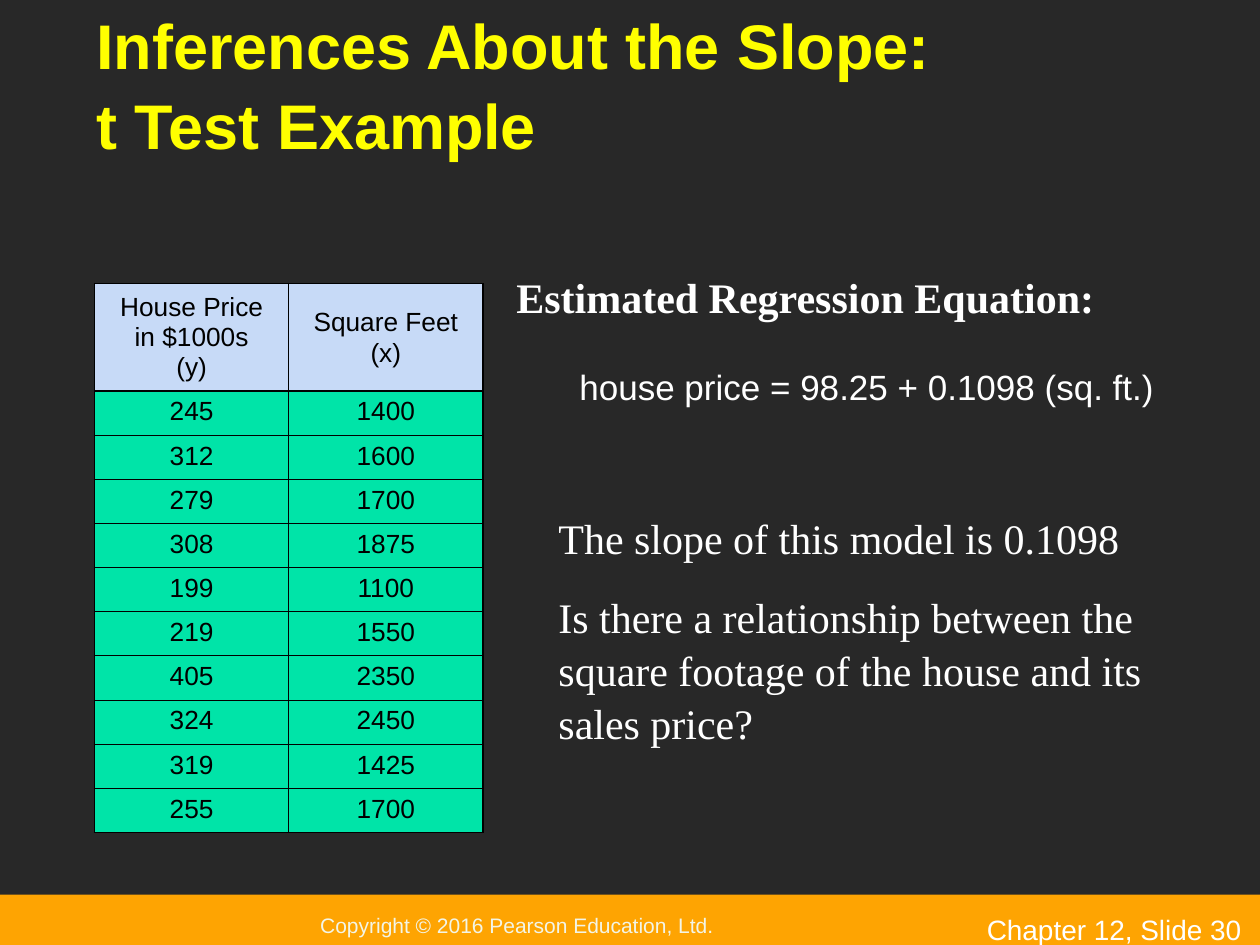
import pptx
import pptx.dml.color
import pptx.enum.shapes
import pptx.enum.text
import pptx.oxml
import pptx.oxml.ns
import pptx.util

RGBColor = pptx.dml.color.RGBColor
Pt = pptx.util.Pt
ANCHOR = pptx.enum.text.MSO_ANCHOR

CHARCOAL = RGBColor(0x28, 0x28, 0x28)
ORANGE = RGBColor(0xFE, 0xA4, 0x02)
CREAM = RGBColor(0xF3, 0xF5, 0xE7)
WHITE = RGBColor(0xFF, 0xFF, 0xFF)
YELLOW = RGBColor(0xFF, 0xFF, 0x00)
BLACK = RGBColor(0x00, 0x00, 0x00)
PALE_BLUE = RGBColor(0xC7, 0xDA, 0xF7)
GREEN = RGBColor(0x00, 0xE4, 0xA8)

SANS, SERIF = "Arial", "Times New Roman"
UNIT = pptx.util.Inches(1) // 12  # the page is 120 columns by 90 rows

deck = pptx.Presentation()
deck.slide_width, deck.slide_height = 120 * UNIT, 90 * UNIT
page = deck.slides.add_slide(deck.slide_layouts[6])
page.background.fill.solid()
page.background.fill.fore_color.rgb = CHARCOAL


def write(frame, paragraphs, size, face, color, bold=False, gap=0, spacing=1.05):
    """Fill a text frame; a newline inside a paragraph becomes a line break."""
    frame.word_wrap = True
    for number, text in enumerate(paragraphs):
        para = frame.add_paragraph() if number else frame.paragraphs[0]
        para.line_spacing = spacing
        if number:
            para.space_before = Pt(gap)
        for row, line in enumerate(text.split("\n")):
            if row:
                para.add_line_break()
            span = para.add_run()
            span.text = line
            span.font.size, span.font.name = Pt(size), face
            span.font.bold, span.font.color.rgb = bold, color


def draw_border(cell, side, points):
    """Add one black edge; call before the cell's fill is set, as the schema orders them."""
    line = pptx.oxml.parse_xml(
        f'<a:{side} {pptx.oxml.ns.nsdecls("a")} w="{Pt(points)}">'
        f'<a:solidFill><a:srgbClr val="{BLACK}"/></a:solidFill></a:{side}>')
    cell._tc.get_or_add_tcPr().append(line)


# Footer band with the copyright line
band = page.shapes.add_shape(pptx.enum.shapes.MSO_SHAPE.RECTANGLE,
                             0, int(85.2 * UNIT), 120 * UNIT, int(5.9 * UNIT))
band.shadow.inherit = False
band.fill.solid()
band.fill.fore_color.rgb = ORANGE
band.line.fill.background()
footer = band.text_frame
footer.margin_left = int(30.5 * UNIT)
footer.margin_top = footer.margin_right = footer.margin_bottom = 0
footer.vertical_anchor = ANCHOR.MIDDLE
write(footer, ["Copyright © 2016 Pearson Education, Ltd."], 12, SANS, CREAM, spacing=1)
footer.paragraphs[0].alignment = pptx.enum.text.PP_ALIGN.LEFT

# Text boxes: left, top, width, height in grid units, anchor, paragraphs, style
texts = [
    (92.8, 86.2, 28, 3.1, ANCHOR.TOP, ["Chapter 12, Slide 30"],
     dict(size=16, face=SANS, color=WHITE)),
    (8, 3, 104, 13, ANCHOR.BOTTOM, ["Inferences About the Slope:\nt Test Example"],
     dict(size=36, face=SANS, color=YELLOW, bold=True)),
    (48, 25, 66, 6, ANCHOR.TOP, ["Estimated Regression Equation:"],
     dict(size=24, face=SERIF, color=WHITE, bold=True)),
    (52, 48, 63, 23, ANCHOR.TOP,
     ["The slope of this model is 0.1098",
      "Is there a relationship between the square footage of the house "
      "and its sales price?"],
     dict(size=24, face=SERIF, color=WHITE, gap=15)),
    (54, 34, 61, 5.3, ANCHOR.TOP, ["house price = 98.25 + 0.1098 (sq. ft.)"],
     dict(size=20, face=SANS, color=WHITE)),
]
for left, top, width, height, anchor, paragraphs, style in texts:
    box = page.shapes.add_textbox(*(int(n * UNIT) for n in (left, top, width, height)))
    box.text_frame.vertical_anchor = anchor
    write(box.text_frame, paragraphs, **style)

# House data
headings = [["House Price in $1000s", "(y)"], ["Square Feet", "(x)"]]
houses = [(245, 1400), (312, 1600), (279, 1700), (308, 1875), (199, 1100),
          (219, 1550), (405, 2350), (324, 2450), (319, 1425), (255, 1700)]
rows = [headings] + [[[str(value)] for value in house] for house in houses]
HEADER_ROW, DATA_ROW = int(10.2 * UNIT), int(4.2 * UNIT)
THICK, THIN = 1.08, 0.45

table = page.shapes.add_table(len(rows), 2, 9 * UNIT, 27 * UNIT, 37 * UNIT,
                              HEADER_ROW + len(houses) * DATA_ROW).table
for r, row in enumerate(rows):
    table.rows[r].height = DATA_ROW if r else HEADER_ROW
    for c, paragraphs in enumerate(row):
        cell = table.cell(r, c)
        thick_sides = {"lnL": c == 0, "lnR": c == 1,
                       "lnT": r <= 1, "lnB": r in (0, len(houses))}
        for side, thick in thick_sides.items():
            draw_border(cell, side, THICK if thick else THIN)
        cell.fill.solid()
        cell.fill.fore_color.rgb = GREEN if r else PALE_BLUE
        cell.vertical_anchor = ANCHOR.TOP if r else ANCHOR.MIDDLE
        write(cell.text_frame, paragraphs, 15, SANS, BLACK, gap=3.7, spacing=1)
        for number, para in enumerate(cell.text_frame.paragraphs):
            para.alignment = pptx.enum.text.PP_ALIGN.CENTER
            if number:
                para.line_spacing = 0.8

deck.save("out.pptx")
